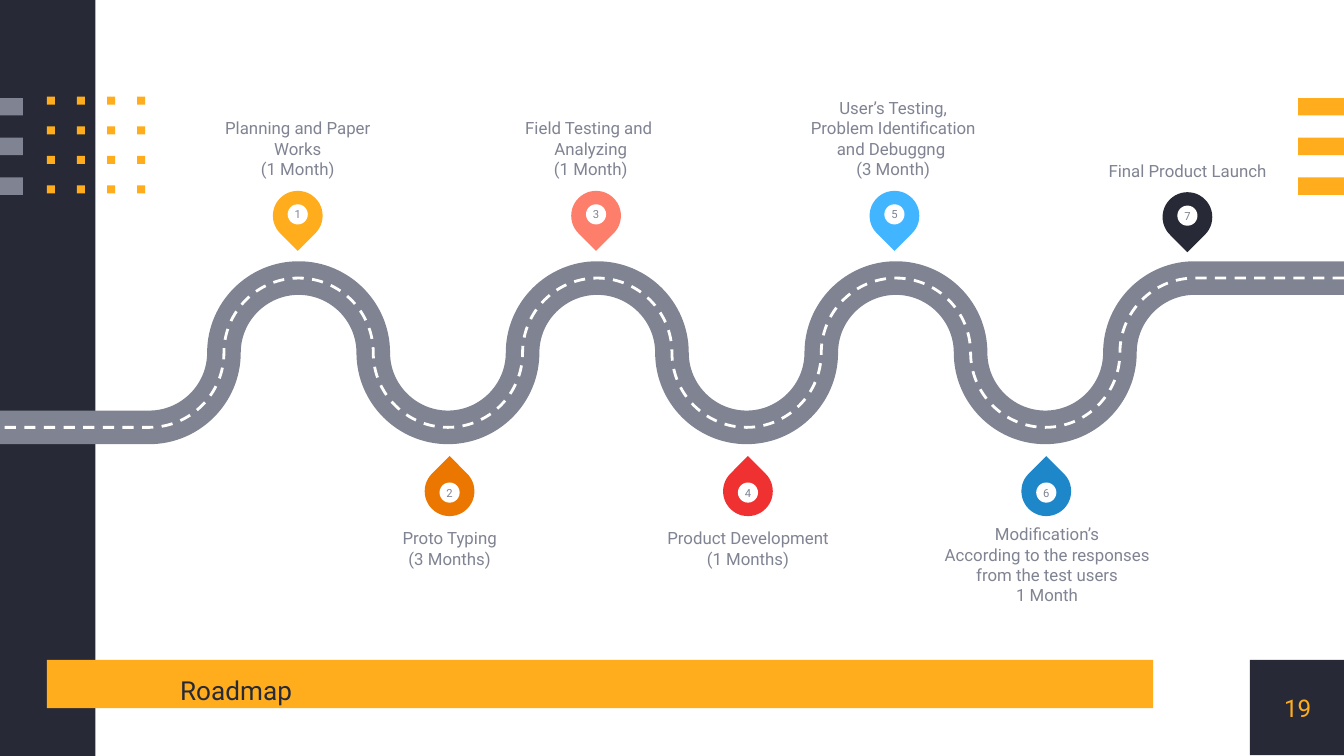
import itertools

from lxml import etree
from pptx import Presentation, util as u
from pptx.dml.color import RGBColor
from pptx.enum import dml, shapes, text
from pptx.oxml.ns import qn

WIDTH, HEIGHT = 10, 5.625
FONT = "Roboto"
NAVY = RGBColor(0x27, 0x2A, 0x36)
AMBER = RGBColor(0xFF, 0xAD, 0x1D)
GRAY = RGBColor(0x80, 0x83, 0x92)
WHITE = RGBColor(0xFF, 0xFF, 0xFF)
CORAL = RGBColor(0xFD, 0x7E, 0x6B)
SKY = RGBColor(0x41, 0xB5, 0xFF)
BLUE = RGBColor(0x1E, 0x87, 0xCA)
RED = RGBColor(0xF0, 0x31, 0x31)
ORANGE = RGBColor(0xEB, 0x77, 0x00)

TITLE = "Roadmap"
PAGE_NUMBER = "19"

# Pin left, top and colour, then label box (left, top, width, height) and lines
MILESTONES = [
    (2.03, 1.42, AMBER, (1.51, 0.75, 1.41, 0.58),
     ["Planning and Paper Works", "(1 Month)"]),
    (3.16, 3.47, ORANGE, (2.64, 3.93, 1.41, 0.58),
     ["Proto Typing", "(3 Months)"]),
    (4.25, 1.42, CORAL, (3.69, 0.75, 1.41, 0.58),
     ["Field Testing and ", "Analyzing", "(1 Month)"]),
    (5.38, 3.47, RED, (4.86, 3.93, 1.41, 0.58),
     ["Product Development", "(1 Months)"]),
    (6.47, 1.42, SKY, (5.94, 0.75, 1.41, 0.58),
     ["User’s Testing,", "Problem Identification and Debuggng ", "(3 Month)"]),
    (7.6, 3.47, BLUE, (6.95, 3.9, 1.68, 0.71),
     ["Modification’s", "According to the responses from the test users", "1 Month"]),
    (8.65, 1.43, NAVY, (8.13, 1.11, 1.41, 0.24),
     ["Final Product Launch"]),
]

PIN_SIZE, BADGE_SIZE = 0.37, 0.15
BAR_HEIGHT, DOT_SIZE = 0.13, 0.06
ROAD_RADIUS = WIDTH / 18
ROAD_MIDDLE = HEIGHT * 7 / 15
QUARTERS = 14
ARC_HANDLE = 0.55

presentation = Presentation()
presentation.slide_width = u.Inches(WIDTH)
presentation.slide_height = u.Inches(HEIGHT)
slide = presentation.slides.add_slide(presentation.slide_layouts[6])


def add_block(kind, left, top, width, height, colour):
    shape = slide.shapes.add_shape(kind, *map(u.Inches, (left, top, width, height)))
    shape.shadow.inherit = False
    shape.fill.solid()
    shape.fill.fore_color.rgb = colour
    shape.line.fill.background()
    return shape


def write(shape, lines, size, colour, anchor, align=text.PP_ALIGN.CENTER):
    frame = shape.text_frame
    frame.word_wrap = True
    frame.vertical_anchor = anchor
    frame.margin_left = frame.margin_right = frame.margin_top = frame.margin_bottom = 0
    frame.text = "\n".join(lines)
    for paragraph in frame.paragraphs:
        paragraph.alignment = align
        for run in paragraph.runs:
            run.font.name = FONT
            run.font.size = u.Pt(size)
            run.font.color.rgb = colour
    return frame


def add_label(box, *style):
    return write(slide.shapes.add_textbox(*map(u.Inches, box)), *style)


def road_points():
    """Ends of the quarter arcs, from right to left, with a straight run at each end."""
    heights = itertools.cycle((-1, 0, 1, 0))
    bends = [(ROAD_RADIUS * (QUARTERS + 2 - quarter),
              ROAD_MIDDLE + ROAD_RADIUS * next(heights))
             for quarter in range(QUARTERS + 1)]
    points = [(WIDTH, bends[0][1]), *bends, (0, bends[-1][1])]
    return [(u.Inches(x), u.Inches(y)) for x, y in points]


def curve_arcs(road, points):
    """Turn every line between two bends into a quarter arc."""
    segments = list(road.element.iter(qn("a:lnTo")))[1:-1]
    for quarter, segment in enumerate(segments):
        (x0, y0), (x1, y1) = points[quarter + 1:quarter + 3]
        reach_x, reach_y = ARC_HANDLE * (x1 - x0), ARC_HANDLE * (y1 - y0)
        if quarter % 2 == 0:
            handles = [(x0 + reach_x, y0), (x1, y1 - reach_y)]
        else:
            handles = [(x0, y0 + reach_y), (x1 - reach_x, y1)]
        curve = etree.Element(qn("a:cubicBezTo"))
        for x, y in [*handles, (x1, y1)]:
            etree.SubElement(curve, qn("a:pt"),
                             x=str(round(x - road.left)), y=str(round(y - road.top)))
        segment.getparent().replace(segment, curve)


def add_road(points, colour, width, dash=None):
    builder = slide.shapes.build_freeform(*points[0])
    builder.add_line_segments(points[1:], close=False)
    road = builder.convert_to_shape()
    curve_arcs(road, points)
    road.shadow.inherit = False
    road.fill.background()
    road.line.color.rgb = colour
    road.line.width = u.Pt(width)
    if dash:
        road.line.dash_style = dash


RECTANGLE = shapes.MSO_SHAPE.RECTANGLE
MIDDLE = text.MSO_ANCHOR.MIDDLE

# Page frame
page_box = (9.3, 4.91, 0.71, 0.71)
add_block(RECTANGLE, *page_box, NAVY)
add_block(RECTANGLE, 0, 0, 0.71, HEIGHT, NAVY)
add_block(RECTANGLE, 0.35, 4.91, 8.23, 0.36, AMBER)

# Side bars and dot grid
for row in range(3):
    top = 0.73 + row * 0.59 / 2
    add_block(RECTANGLE, 0, top, 0.17, BAR_HEIGHT, GRAY)
    add_block(RECTANGLE, 9.66, top, 0.34, BAR_HEIGHT, AMBER)
for row in range(4):
    for column in range(4):
        add_block(RECTANGLE, 0.35 + column * 0.67 / 3, 0.72 + row * 0.22,
                  DOT_SIZE, DOT_SIZE, AMBER)

# Title and page number
title = add_label((1.09, 4.91, 7.48, 0.36), [TITLE], 14, NAVY, MIDDLE,
                  text.PP_ALIGN.LEFT)
title.margin_left = u.Inches(0.25)
title.margin_top = u.Inches(0.05)
title.paragraphs[0].line_spacing = 1.15
add_label(page_box, [PAGE_NUMBER], 13, AMBER, MIDDLE)

# Road with its dashed centre line
points = road_points()
add_road(points, GRAY, 18)
add_road(points, WHITE, 1.5, dml.MSO_LINE.DASH)

# Pins, numbers and labels
for number, (left, top, colour, label_box, lines) in enumerate(MILESTONES, 1):
    above = top < ROAD_MIDDLE
    pin = add_block(shapes.MSO_SHAPE.TEAR, left, top, PIN_SIZE, PIN_SIZE, colour)
    pin.rotation = 135 if above else 315
    badge = add_block(shapes.MSO_SHAPE.OVAL, left + (PIN_SIZE - BADGE_SIZE) / 2,
                      top + (0.1 if above else 0.12), BADGE_SIZE, BADGE_SIZE, WHITE)
    write(badge, [str(number)], 6, GRAY, MIDDLE)
    anchor = text.MSO_ANCHOR.BOTTOM if above else text.MSO_ANCHOR.TOP
    add_label(label_box, lines, 9, GRAY, anchor)

presentation.save("out.pptx")
